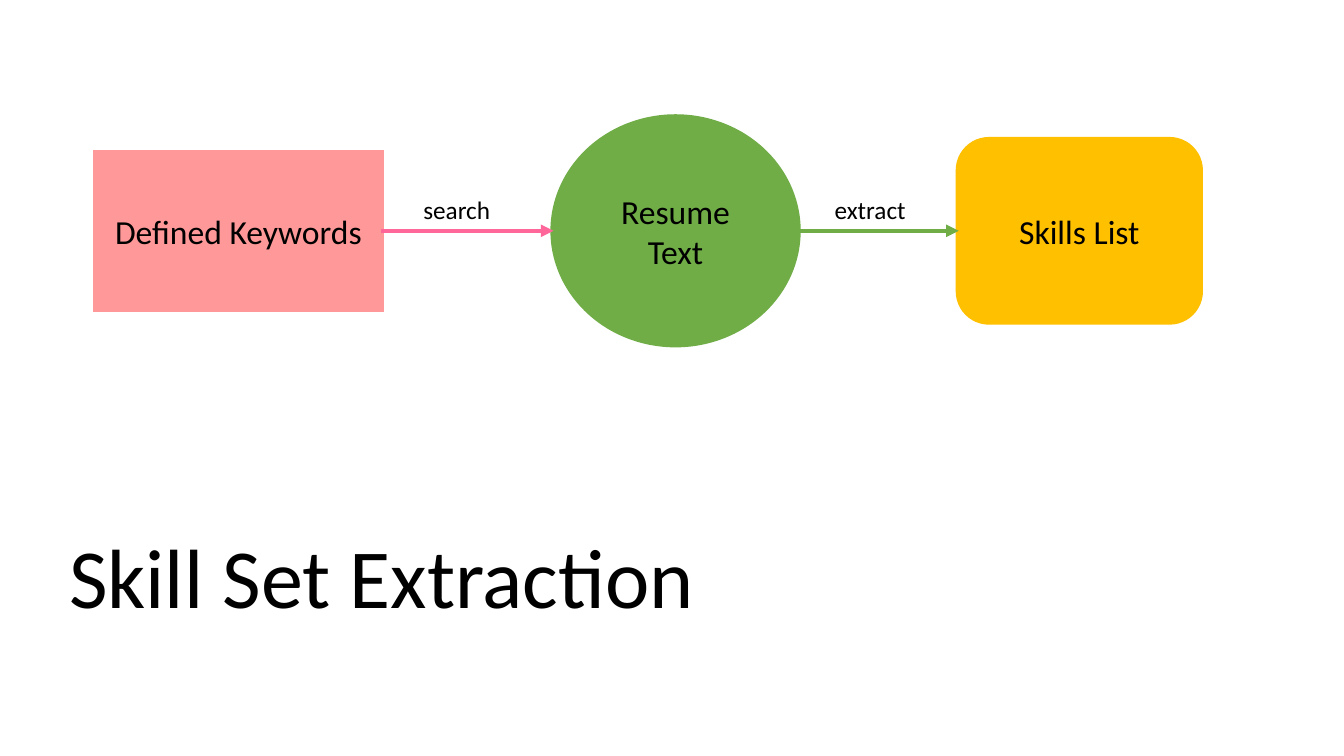
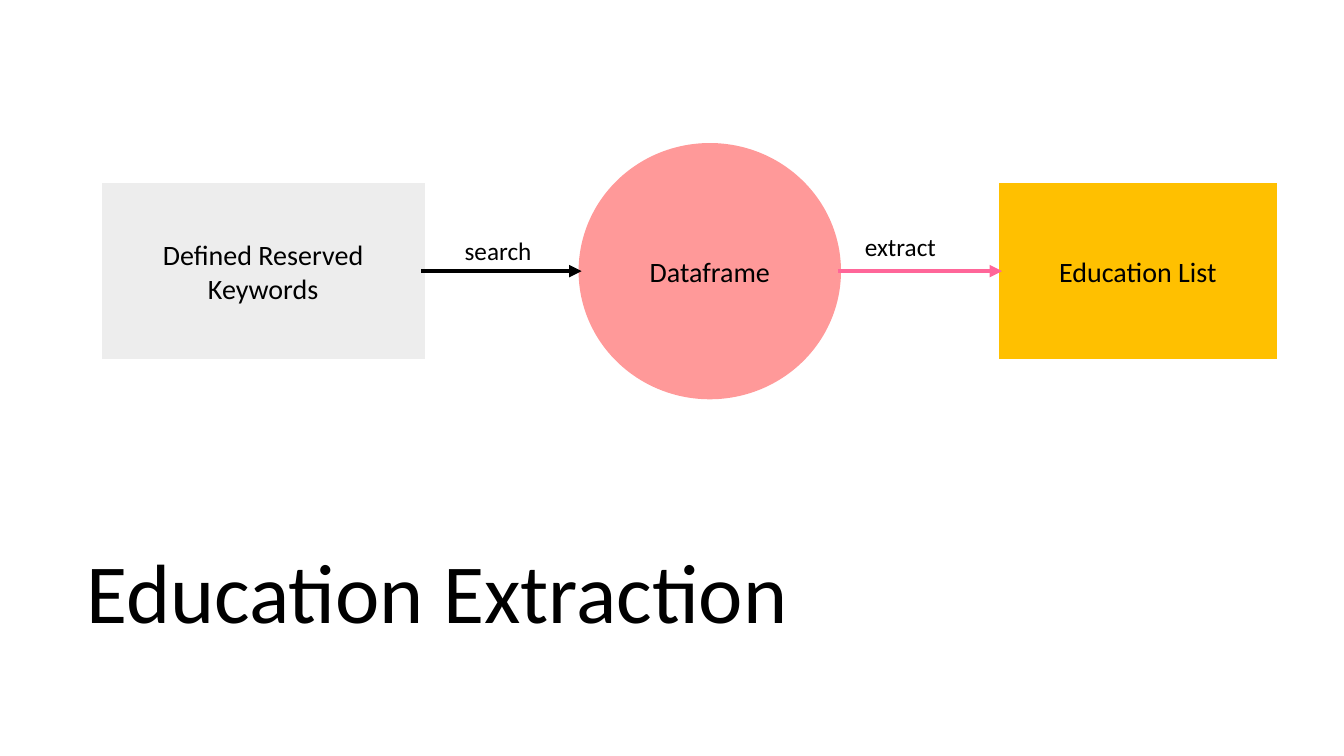
from itertools import pairwise

from pptx import Presentation
from pptx.dml.color import RGBColor
from pptx.enum.shapes import MSO_CONNECTOR, MSO_SHAPE
from pptx.enum.text import MSO_ANCHOR, MSO_AUTO_SIZE, PP_ALIGN
from pptx.oxml.ns import qn
from pptx.util import Inches, Pt
from lxml.etree import SubElement

FONT = "Calibri"
BLACK, PINK, ROSE = "000000", "FF9999", "FF6699"
GREEN, AMBER, GREY = "70AD47", "FFC000", "EDEDED"
RECTANGLE, ELLIPSE, ROUNDED = MSO_SHAPE.RECTANGLE, MSO_SHAPE.OVAL, MSO_SHAPE.ROUNDED_RECTANGLE

# nodes: text, shape, left, width, height, colour
# arrows: label, label left, label top, label width, colour
SLIDES = [
    {
        "title": ("Skill Set Extraction", 0.55, 5.15, 6.47),
        "middle": 2.29,
        "node_size": 24,
        "nodes": [
            ("Defined Keywords", RECTANGLE, 0.95, 2.83, 1.54, PINK),
            ("Resume Text", ELLIPSE, 5.49, 2.42, 2.25, GREEN),
            ("Skills List", ROUNDED, 9.51, 2.39, 1.8, AMBER),
        ],
        "arrows": [
            ("search", 4.1, 1.88, 1.39, ROSE),
            ("extract", 8.18, 1.88, 1.44, GREEN),
        ],
    },
    {
        "title": ("Education Extraction", 0.72, 5.3, 7.23),
        "middle": 2.69,
        "node_size": 20,
        "nodes": [
            ("Defined Reserved Keywords", RECTANGLE, 1.04, 3.14, 1.69, GREY),
            ("Dataframe", ELLIPSE, 5.77, 2.54, 2.48, PINK),
            ("Education List", RECTANGLE, 9.94, 2.69, 1.69, AMBER),
        ],
        "arrows": [
            ("search", 4.51, 2.29, 1.31, BLACK),
            ("extract", 8.48, 2.25, 1.1, ROSE),
        ],
    },
]


def colour(value):
    return RGBColor.from_string(value)


def write(shape, text, size, align, anchor):
    frame = shape.text_frame
    frame.text = text
    frame.word_wrap = True
    frame.auto_size = MSO_AUTO_SIZE.NONE
    frame.vertical_anchor = anchor
    paragraph = frame.paragraphs[0]
    paragraph.alignment = align
    paragraph.font.name = FONT
    paragraph.font.size = Pt(size)
    paragraph.font.color.rgb = colour(BLACK)


def set_line(shape, value, width):
    shape.line.color.rgb = colour(value)
    shape.line.width = Pt(width)
    return shape.line._get_or_add_ln()


def add_title(slide, text, left, top, width):
    title = slide.shapes.title
    title.left, title.top = Inches(left), Inches(top)
    title.width, title.height = Inches(width), Inches(1.11)
    write(title, text, 60, PP_ALIGN.CENTER, MSO_ANCHOR.TOP)


def add_node(slide, middle, size, text, kind, left, width, height, fill):
    node = slide.shapes.add_shape(
        kind, Inches(left), Inches(middle - height / 2), Inches(width), Inches(height)
    )
    node.shadow.inherit = False
    node.fill.solid()
    node.fill.fore_color.rgb = colour(fill)
    SubElement(set_line(node, fill, 4.5), qn("a:miter"), lim="800000")
    write(node, text, size, PP_ALIGN.CENTER, MSO_ANCHOR.MIDDLE)
    return node


def add_arrow(slide, middle, start, end, value):
    arrow = slide.shapes.add_connector(
        MSO_CONNECTOR.STRAIGHT, start.left + start.width, Inches(middle), end.left, Inches(middle)
    )
    SubElement(set_line(arrow, value, 3), qn("a:tailEnd"), type="triangle")
    SubElement(arrow._element.spPr, qn("a:effectLst"))


def add_label(slide, text, left, top, width):
    label = slide.shapes.add_textbox(Inches(left), Inches(top), Inches(width), Inches(0.4))
    write(label, text, 18, PP_ALIGN.LEFT, MSO_ANCHOR.TOP)


def build_slide(presentation, content):
    slide = presentation.slides.add_slide(presentation.slide_layouts[5])
    middle = content["middle"]
    add_title(slide, *content["title"])
    nodes = [add_node(slide, middle, content["node_size"], *node) for node in content["nodes"]]
    for (start, end), (*label, value) in zip(pairwise(nodes), content["arrows"]):
        add_arrow(slide, middle, start, end, value)
        add_label(slide, *label)


def main():
    presentation = Presentation()
    presentation.slide_width, presentation.slide_height = Inches(13.33), Inches(7.5)
    for content in SLIDES:
        build_slide(presentation, content)
    presentation.save("out.pptx")


if __name__ == "__main__":
    main()
